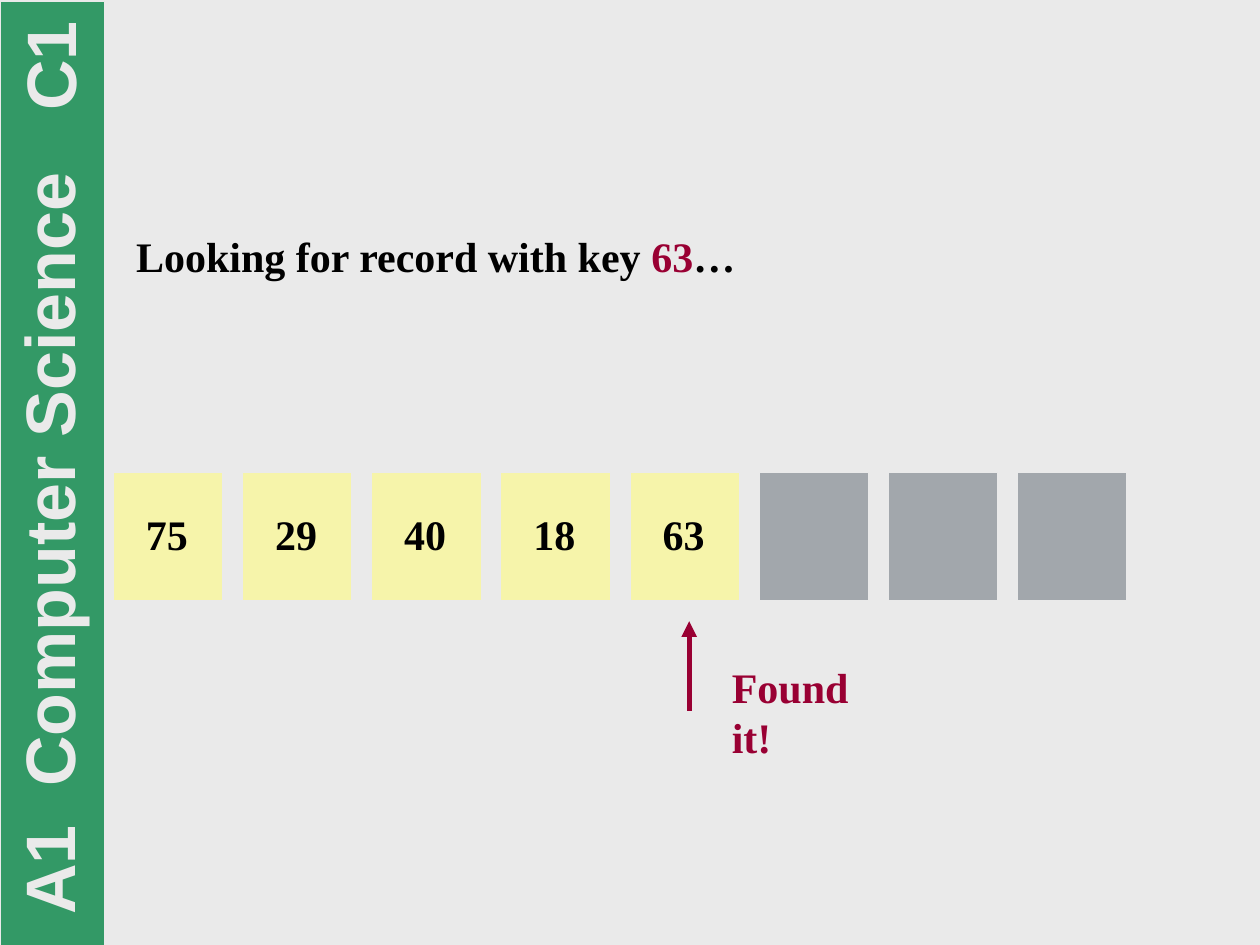
"""Build the linear search slide on which the record with key 63 is found."""
from lxml import etree
from pptx import Presentation
from pptx.dml.color import RGBColor
from pptx.enum.shapes import MSO_CONNECTOR, MSO_SHAPE
from pptx.enum.text import MSO_ANCHOR, MSO_AUTO_SIZE, PP_ALIGN
from pptx.oxml.ns import qn
from pptx.util import Inches, Pt

RECT = MSO_SHAPE.RECTANGLE
STRAIGHT = MSO_CONNECTOR.STRAIGHT
TOP = MSO_ANCHOR.TOP
NO_FIT = MSO_AUTO_SIZE.NONE
LEFT, CENTER = PP_ALIGN.LEFT, PP_ALIGN.CENTER

PAPER = RGBColor(0xEA, 0xEA, 0xEA)
GREEN = RGBColor(0x33, 0x99, 0x66)
GRAY = RGBColor(0xA2, 0xA7, 0xAC)
YELLOW = RGBColor(0xF6, 0xF4, 0xAA)
CRIMSON = RGBColor(0x99, 0x00, 0x33)
BLACK = RGBColor(0x00, 0x00, 0x00)


def add_box(left, top, width, height, color):
    sp = slide.shapes.add_shape(
        RECT, Inches(left), Inches(top), Inches(width), Inches(height))
    sp.shadow.inherit = False
    sp.fill.solid()
    sp.fill.fore_color.rgb = color
    sp.line.color.rgb = PAPER
    sp.line.width = Pt(0.75)


def write(sp, at, parts, size=24, font="Times New Roman", align=LEFT):
    sp.left, sp.top, sp.width, sp.height = [Inches(v) for v in at]
    tf = sp.text_frame
    tf.word_wrap = True
    tf.auto_size = NO_FIT
    tf.vertical_anchor = TOP
    p = tf.paragraphs[0]
    p.alignment = align
    for text, color in parts:
        r = p.add_run()
        r.text = text
        r.font.name = font
        r.font.size = Pt(size)
        r.font.bold = True
        r.font.color.rgb = color


prs = Presentation()
prs.slide_width, prs.slide_height = Inches(10), Inches(7.5)
slide = prs.slides.add_slide(prs.slide_layouts[5])
slide.background.fill.solid()
slide.background.fill.fore_color.rgb = PAPER

write(slide.shapes.title, (0.98, 1.78, 5.12, 0.5),
      [("Looking for record with key ", BLACK), ("63", CRIMSON), ("…", BLACK)])

add_box(0, 0.01, 0.83, 7.5, GREEN)
for label, left, top, width in [("A1  Computer Science", -2.79, 3.93, 6.34),
                                ("C1", -1.36, 0.14, 3.49)]:
    sp = slide.shapes.add_textbox(0, 0, 0, 0)
    sp.rotation = 270
    write(sp, (left, top, width, 0.77), [(label, PAPER)], 40, "Arial", CENTER)

keys = ["75", "29", "40", "18", "63", None, None, None]
for i, key in enumerate(keys):
    left = 0.9 + i * 1.025
    add_box(left, 3.75, 0.87, 1.02, YELLOW if key else GRAY)
    if key:
        sp = slide.shapes.add_textbox(0, 0, 0, 0)
        write(sp, (left + 0.16, 3.99, 0.55, 0.5), [(key, BLACK)])

arrow = slide.shapes.add_connector(
    STRAIGHT, Inches(5.47), Inches(5.64), Inches(5.47), Inches(4.93))
arrow.line.color.rgb = CRIMSON
arrow.line.width = Pt(3)
etree.SubElement(arrow.line._get_or_add_ln(), qn("a:tailEnd"), type="triangle")
etree.SubElement(arrow._element.spPr, qn("a:effectLst"))

sp = slide.shapes.add_textbox(0, 0, 0, 0)
write(sp, (5.71, 5.2, 1.26, 0.4), [("Found it!", CRIMSON)])

prs.save("out.pptx")
